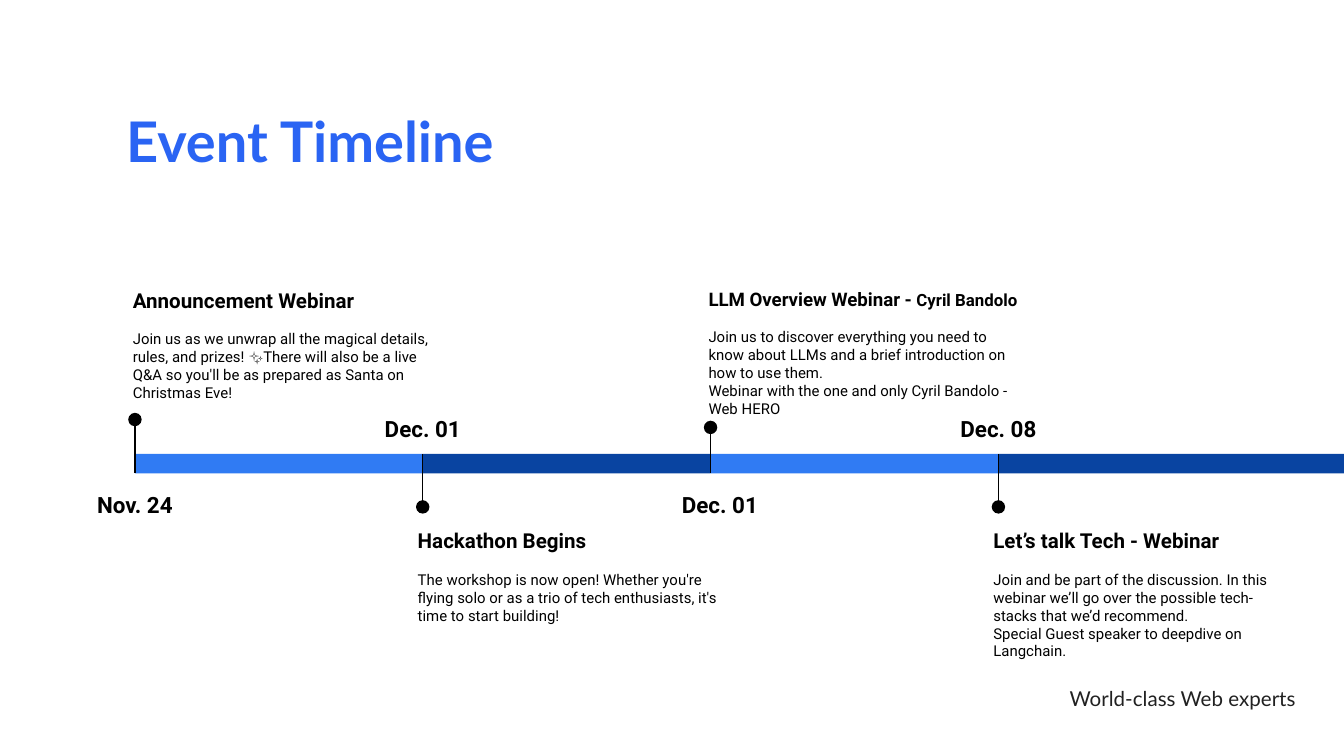
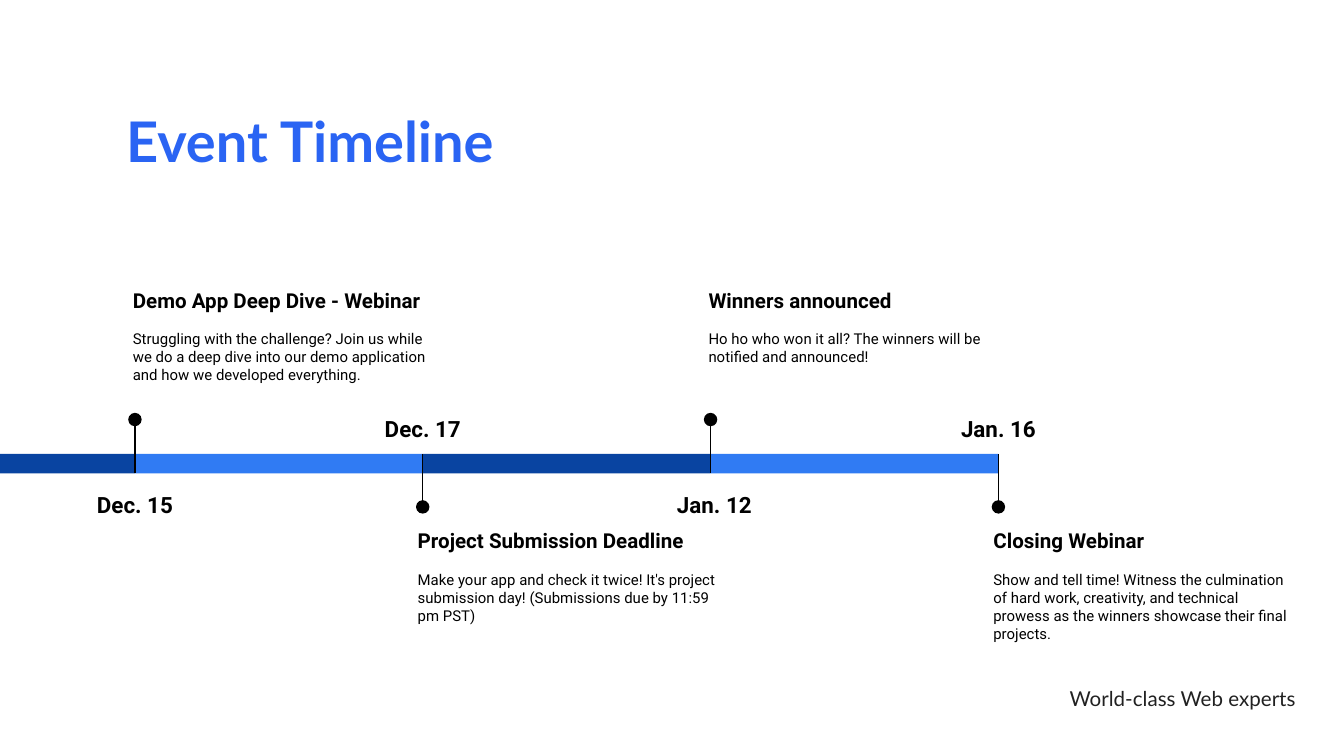
from dataclasses import dataclass

from lxml import etree
from pptx import Presentation
from pptx.dml.color import RGBColor
from pptx.enum.shapes import MSO_CONNECTOR, MSO_SHAPE
from pptx.enum.text import MSO_ANCHOR, PP_ALIGN
from pptx.oxml.ns import qn
from pptx.util import Pt

# Colours
BLACK = RGBColor(0x00, 0x00, 0x00)
CHARCOAL = RGBColor(0x21, 0x21, 0x21)
TITLE_BLUE = RGBColor(0x2A, 0x64, 0xF3)
LIGHT_BLUE = RGBColor(0x30, 0x7B, 0xF3)
DARK_BLUE = RGBColor(0x09, 0x44, 0xA1)
SEGMENT_COLOURS = (LIGHT_BLUE, DARK_BLUE)

# Timeline geometry, in points
PAGE_WIDTH, PAGE_HEIGHT = 720, 405
FIRST_STOP, STOP_PITCH = 72.3, 154.2
BAND_TOP, BAND_HEIGHT = 243.2, 10.4
BAND_BOTTOM = BAND_TOP + BAND_HEIGHT
DOT_SIZE = 7.2
LABEL_HEIGHT, DETAIL_HEIGHT = 29.5, 74.2


@dataclass
class Event:
    date: str
    heading: str
    detail: str
    heading_size: float = 11
    speaker: str = ""
    dot_drop: float = 0
    label_width: float = 59
    label_shift: float = 0
    detail_width: float = 177.1


def write(paragraph, text, font="Roboto", size=8, color=BLACK, bold=False,
          align=None, line_spacing=None, before=None, after=None):
    """Append formatted text to a paragraph; a newline becomes a line break."""
    for number, line in enumerate(text.split("\n")):
        if number:
            paragraph.add_line_break()
        span = paragraph.add_run()
        span.text = line
        span.font.name = font
        span.font.size = Pt(size)
        span.font.bold = bold
        span.font.color.rgb = color
    if align is not None:
        paragraph.alignment = align
    if line_spacing is not None:
        paragraph.line_spacing = line_spacing
    if before is not None:
        paragraph.space_before = Pt(before)
    if after is not None:
        paragraph.space_after = Pt(after)


class TimelineDeck:
    def __init__(self):
        self.deck = Presentation()
        self.deck.slide_width = Pt(PAGE_WIDTH)
        self.deck.slide_height = Pt(PAGE_HEIGHT)
        self.page = None

    def text_box(self, left, top, width, height):
        box = self.page.shapes.add_textbox(Pt(left), Pt(top), Pt(width), Pt(height))
        frame = box.text_frame
        frame.word_wrap = True
        frame.vertical_anchor = MSO_ANCHOR.TOP
        frame.margin_left = frame.margin_right = Pt(7.2)
        frame.margin_top = frame.margin_bottom = Pt(7.2)
        return frame

    def shape(self, kind, left, top, width, height, color):
        shape = self.page.shapes.add_shape(kind, Pt(left), Pt(top), Pt(width), Pt(height))
        shape.shadow.inherit = False
        shape.fill.solid()
        shape.fill.fore_color.rgb = color
        shape.line.fill.background()

    def segment(self, left, right, color):
        self.shape(MSO_SHAPE.RECTANGLE, left, BAND_TOP, right - left, BAND_HEIGHT, color)

    def pin(self, x, dot_y, band_y):
        stem = self.page.shapes.add_connector(
            MSO_CONNECTOR.STRAIGHT, Pt(x), Pt(dot_y), Pt(x), Pt(band_y))
        stem.line.color.rgb = BLACK
        stem.line.width = Pt(0.75)
        etree.SubElement(stem._element.spPr, qn("a:effectLst"))
        self.shape(MSO_SHAPE.OVAL, x - DOT_SIZE / 2, dot_y - DOT_SIZE / 2,
                   DOT_SIZE, DOT_SIZE, BLACK)

    def date_label(self, x, top, event):
        left = x + event.label_shift - event.label_width / 2
        frame = self.text_box(left, top, event.label_width, LABEL_HEIGHT)
        write(frame.paragraphs[0], event.date, size=12, bold=True,
              align=PP_ALIGN.CENTER, line_spacing=1.15, after=16)

    def description(self, left, top, event):
        frame = self.text_box(left, top, event.detail_width, DETAIL_HEIGHT)
        heading = frame.paragraphs[0]
        write(heading, event.heading, size=event.heading_size, bold=True)
        if event.speaker:
            write(heading, event.speaker, size=9, bold=True)
        write(frame.add_paragraph(), event.detail, before=9.4, after=16)

    def event(self, x, event, above):
        if above:
            self.pin(x, 224.8 + event.dot_drop, BAND_BOTTOM)
            self.date_label(x, BAND_BOTTOM, event)
            self.description(x - 8.2, 146.9, event)
        else:
            self.pin(x, 271.6, BAND_TOP)
            self.date_label(x, 213.1, event)
            self.description(x - 9.8, 275.8, event)

    def timeline(self, events, start, end):
        self.page = self.deck.slides.add_slide(self.deck.slide_layouts[6])

        # Footer and title
        write(self.text_box(488.9, 360.7, 212.4, 28.1).paragraphs[0],
              "World-class Web experts", font="Lato", size=11, color=CHARCOAL,
              align=PP_ALIGN.RIGHT)
        write(self.text_box(60.5, 49.7, 308.9, 45.4).paragraphs[0],
              "Event Timeline", font="Lato", size=30, color=TITLE_BLUE, bold=True)

        # Band in alternating blues, running between the stops
        stops = [FIRST_STOP + STOP_PITCH * number for number in range(len(events))]
        if start < stops[0]:
            self.segment(start, stops[0], DARK_BLUE)
        for number, (left, right) in enumerate(zip(stops, stops[1:] + [end])):
            if right > left:
                self.segment(left, right, SEGMENT_COLOURS[number % 2])

        # Events, alternately above and below the band
        for number, (x, event) in enumerate(zip(stops, events)):
            self.event(x, event, above=number % 2 == 0)


OPENING_EVENTS = [
    Event("Nov. 24", "Announcement Webinar",
          "Join us as we unwrap all the magical details, rules, and prizes! ✨There will "
          "also be a live Q&A so you'll be as prepared as Santa on Christmas Eve!",
          label_width=68.4),
    Event("Dec. 01", "Hackathon Begins",
          "The workshop is now open! Whether you're flying solo or as a trio of tech "
          "enthusiasts, it's time to start building!"),
    Event("Dec. 01", "LLM Overview Webinar - ",
          "Join us to discover everything you need to know about LLMs and a brief "
          "introduction on how to use them.\n"
          "Webinar with the one and only Cyril Bandolo - Web HERO",
          heading_size=10, speaker="Cyril Bandolo", dot_drop=4.2,
          label_width=60.5, label_shift=5, detail_width=182.2),
    Event("Dec. 08", "Let’s talk Tech - Webinar",
          "Join and be part of the discussion. In this webinar we’ll go over the possible "
          "tech-stacks that we’d recommend.\n"
          "Special Guest speaker to deepdive on Langchain."),
]

CLOSING_EVENTS = [
    Event("Dec. 15", "Demo App Deep Dive - Webinar",
          "Struggling with the challenge? Join us while we do a deep dive into our demo "
          "application and how we developed everything.",
          label_width=68.4),
    Event("Dec. 17", "Project Submission Deadline",
          "Make your app and check it twice! It's project submission day! "
          "(Submissions due by 11:59 pm PST)"),
    Event("Jan. 12", "Winners announced",
          "Ho ho who won it all? The winners will be notified and announced!",
          label_width=55, label_shift=2),
    Event("Jan. 16", "Closing Webinar",
          "Show and tell time! Witness the culmination of hard work, creativity, and "
          "technical prowess as the winners showcase their final projects."),
]


def main():
    show = TimelineDeck()
    last_stop = FIRST_STOP + STOP_PITCH * (len(CLOSING_EVENTS) - 1)
    show.timeline(OPENING_EVENTS, start=FIRST_STOP, end=PAGE_WIDTH)
    show.timeline(CLOSING_EVENTS, start=0, end=last_stop)
    show.deck.save("out.pptx")


if __name__ == "__main__":
    main()
